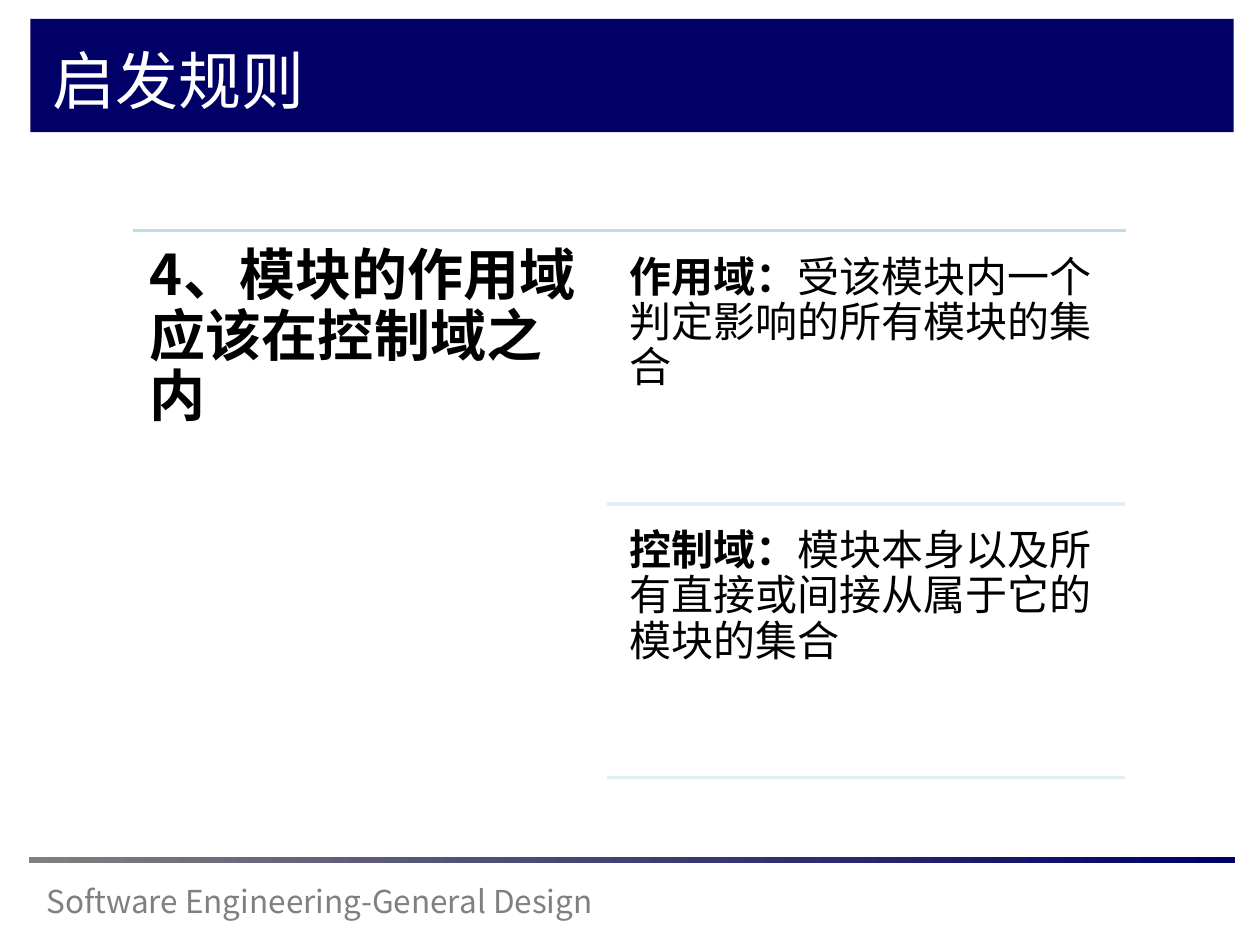
from dataclasses import dataclass

from lxml import etree
from pptx import Presentation
from pptx.dml.color import RGBColor
from pptx.enum import shapes, text
from pptx.oxml import ns
from pptx.util import Pt

FONT = "Noto Sans CJK SC"
NAVY = RGBColor(0x00, 0x00, 0x66)
GREY = RGBColor(0x80, 0x80, 0x80)
WHITE = RGBColor(0xFF, 0xFF, 0xFF)
BLACK = RGBColor(0x00, 0x00, 0x00)
TEAL = RGBColor(0xBB, 0xE0, 0xE3)
PALE = RGBColor(0xE0, 0xF0, 0xF2)

TOP = 131.8
STEP = 156.2
LEFT = 76.3
MID = 347


@dataclass(frozen=True)
class Run:
    """A piece of text with one weight."""
    words: str
    bold: bool = False


@dataclass(frozen=True)
class Box:
    """A text box, with its place and type style."""
    left: float
    top: float
    width: float
    height: float
    runs: tuple[Run, ...]
    size: float
    color: RGBColor = BLACK
    inset: tuple[float, float] = (7.2, 3.6)
    lead: float = 1.0
    anchor: text.MSO_ANCHOR = text.MSO_ANCHOR.TOP


@dataclass(frozen=True)
class Rule:
    """A level line."""
    left: float
    right: float
    top: float
    color: RGBColor


@dataclass(frozen=True)
class Term:
    """A term and what it means."""
    name: str
    sense: str


TERMS = (
    Term("作用域：", "受该模块内一个判定影响的所有模块的集合"),
    Term("控制域：", "模块本身以及所有直接或间接从属于它的模块的集合"),
)


def add_bar(slide, left: float, top: float, width: float, height: float):
    """Add a plain bar and return it."""
    bar = slide.shapes.add_shape(
        shapes.MSO_SHAPE.RECTANGLE, Pt(left), Pt(top), Pt(width), Pt(height))
    bar.shadow.inherit = False
    bar.line.fill.background()
    return bar


def add_rule(slide, rule: Rule) -> None:
    """Add a level line with no shadow."""
    line = slide.shapes.add_connector(
        shapes.MSO_CONNECTOR.STRAIGHT,
        Pt(rule.left), Pt(rule.top), Pt(rule.right), Pt(rule.top))
    line.line.color.rgb = rule.color
    line.line.width = Pt(2)
    etree.SubElement(line._element.spPr, ns.qn("a:effectLst"))


def add_text(slide, box: Box) -> None:
    """Add a text box, run by run."""
    frame = slide.shapes.add_textbox(
        Pt(box.left), Pt(box.top), Pt(box.width), Pt(box.height)).text_frame
    frame.word_wrap = True
    frame.vertical_anchor = box.anchor
    side, edge = box.inset
    frame.margin_left = frame.margin_right = Pt(side)
    frame.margin_top = frame.margin_bottom = Pt(edge)
    para = frame.paragraphs[0]
    para.line_spacing = box.lead
    for item in box.runs:
        run = para.add_run()
        run.text = item.words
        run.font.size = Pt(box.size)
        run.font.bold = item.bold
        run.font.color.rgb = box.color
        run.font.name = FONT
        etree.SubElement(run._r.rPr, ns.qn("a:ea"), typeface=FONT)


def add_frame(slide) -> None:
    """Add the title band and the footer."""
    band = add_bar(slide, 17.3, 10.8, 687.6, 64.8)
    band.fill.solid()
    band.fill.fore_color.rgb = NAVY
    add_text(slide, Box(19.4, 500.4, 372.2, 28.8,
                        (Run("Software Engineering-General Design"),), 18, GREY))
    strip = add_bar(slide, 16.6, 489.6, 689, 3.6)
    strip.fill.gradient()
    strip.fill.gradient_angle = 0
    for stop, color, place in zip(strip.fill.gradient_stops, (GREY, NAVY), (0, 1)):
        stop.color.rgb = color
        stop.position = place
    add_text(slide, Box(23, 18.7, 634.3, 53.3, (Run("启发规则"),), 36, WHITE,
                        anchor=text.MSO_ANCHOR.MIDDLE))


def add_terms(slide) -> None:
    """Add the main rule and its terms."""
    add_rule(slide, Rule(LEFT, 643.7, TOP, TEAL))
    add_text(slide, Box(LEFT, TOP, 270.7, 319.7,
                        (Run("4、模块的作用域应该在控制域之内", True),), 32,
                        inset=(9.4, 9.4), lead=0.9))
    for row, term in enumerate(TERMS):
        top = TOP + 7.2 + row * STEP
        add_text(slide, Box(352.8, top, 290.2, 149,
                            (Run(term.name, True), Run(term.sense)), 24,
                            inset=(7.2, 7.2), lead=0.9))
        add_rule(slide, Rule(MID, 643, top + 149, PALE))


def main() -> None:
    """Build the slide and save it."""
    deck = Presentation()
    deck.slide_width, deck.slide_height = Pt(720), Pt(540)
    slide = deck.slides.add_slide(deck.slide_layouts[6])
    add_frame(slide)
    add_terms(slide)
    deck.save("out.pptx")


if __name__ == "__main__":
    main()
